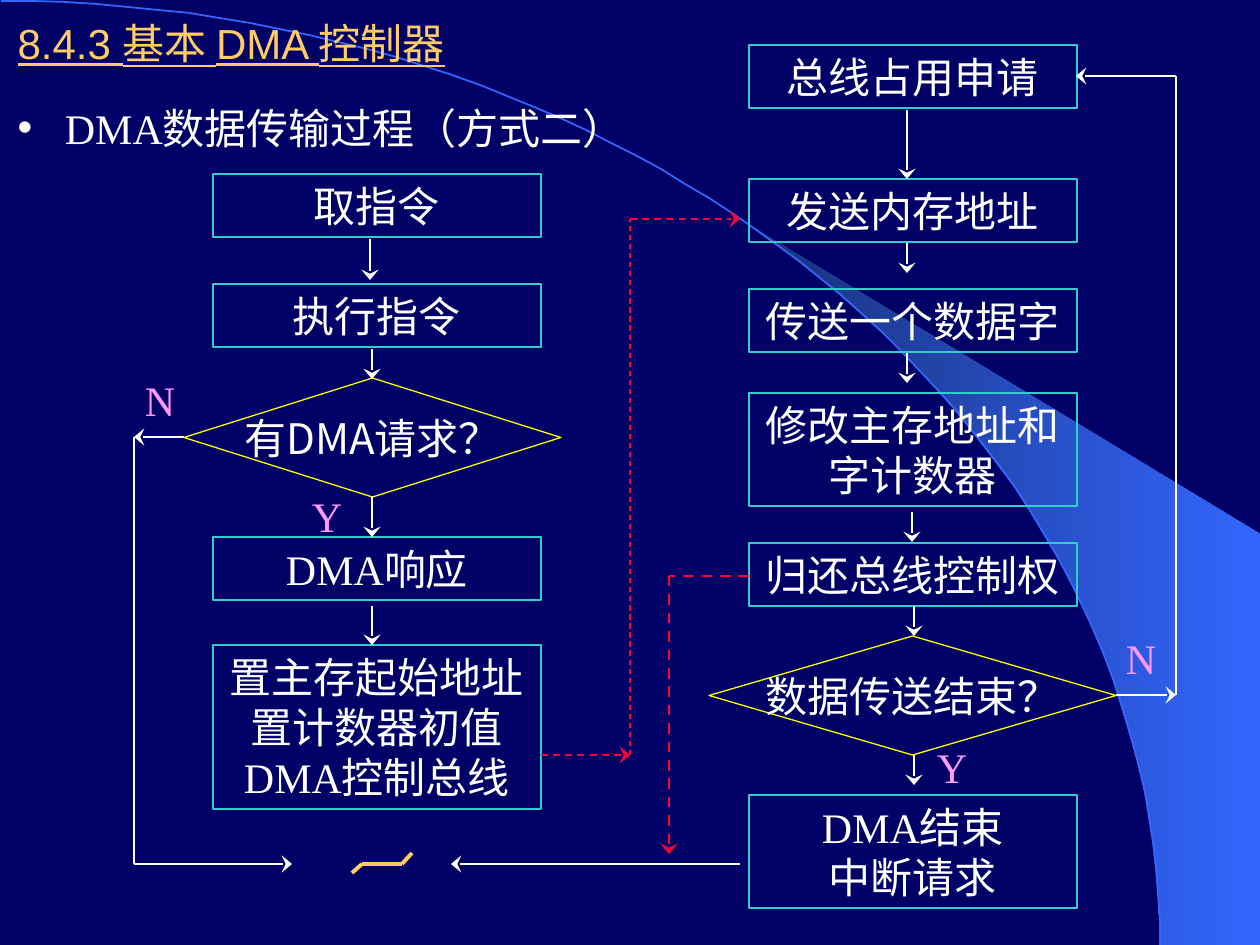
import pptx
import pptx.util
import pptx.oxml
import pptx.oxml.ns
import pptx.dml.color
import pptx.enum.dml
import pptx.enum.shapes
import pptx.enum.text

RGB = pptx.dml.color.RGBColor
SHAPE = pptx.enum.shapes.MSO_SHAPE
ALIGN = pptx.enum.text.PP_ALIGN
ANCHOR = pptx.enum.text.MSO_ANCHOR
FIT = pptx.enum.text.MSO_AUTO_SIZE
DASH = pptx.enum.dml.MSO_LINE.DASH
PX = 914400 / 126

NAVY = RGB(0x00, 0x00, 0x66)
DEEP = RGB(0x18, 0x2F, 0x76)
BLUE = RGB(0x33, 0x66, 0xFF)
GOLD = RGB(0xFF, 0xCC, 0x66)
WHITE = RGB(0xFF, 0xFF, 0xFF)
TEAL = RGB(0x33, 0xCC, 0xCC)
YELLOW = RGB(0xFF, 0xFF, 0x00)
PINK = RGB(0xFF, 0x99, 0xFF)
RED = RGB(0xFF, 0x00, 0x33)
SERIF, SANS, HAN = "Times New Roman", "Arial", "Noto Sans CJK SC"

# Content: flow chart columns as (left, [(top, height, lines)])
TITLE = "8.4.3 基本 DMA 控制器"
POINT = "DMA数据传输过程（方式二）"
COLUMNS = [
    (213, [(174, 63, ["取指令"]),
           (284, 63, ["执行指令"]),
           (537, 63, ["DMA响应"]),
           (645, 164, ["置主存起始地址", "置计数器初值", "DMA控制总线"])]),
    (749, [(45, 63, ["总线占用申请"]),
           (179, 63, ["发送内存地址"]),
           (289, 63, ["传送一个数据字"]),
           (393, 113, ["修改主存地址和字计数器"]),
           (543, 63, ["归还总线控制权"]),
           (795, 113, ["DMA结束", "中断请求"])]),
]
TESTS = [(184, 378, 377, 119, "有DMA请求？"),
         (709, 636, 407, 119, "数据传送结束？")]
LABELS = [(282, 484, "Y"), (115, 368, "N"), (907, 735, "Y"), (1096, 626, "N")]

# Steps downward: (x, top, bottom, line width)
STEPS = [(370, 239, 280, 1), (372, 349, 379, 1), (372, 496, 537, 1),
         (372, 606, 645, 1), (907, 110, 179, 1.5), (907, 243, 273, 1),
         (907, 353, 383, 1), (912, 512, 542, 1), (914, 606, 636, 1),
         (914, 755, 785, 1)]
# Routes: (points, colour, width, dashed, which legs end in an arrow)
ROUTES = [
    ([(184, 437), (134, 437), (134, 864), (292, 864)], WHITE, 1, False, (0, 2)),
    ([(740, 864), (451, 864)], WHITE, 1, False, (0,)),
    ([(1116, 695), (1176, 695), (1176, 76), (1076, 76)], WHITE, 1, False, (0, 2)),
    ([(541, 755), (630, 755), (630, 219), (740, 219)], RED, 1, True, (0, 2)),
    ([(749, 576), (669, 576), (669, 854)], RED, 1.5, True, (1,)),
    ([(352, 873), (362, 864), (402, 864), (412, 853)], GOLD, 2.25, False, ()),
]
BEAM = [(1160, 945), (1260, 945), (1260, 534), (743, 221), (788, 253),
        (824, 281), (864, 316), (905, 354), (961, 417), (1013, 485),
        (1051, 544), (1082, 605), (1109, 667), (1126, 722), (1140, 770),
        (1152, 828), (1158, 879)]
CURVE = [(1, 1), (641, 1), (1160, 425), (1160, 945)]


def emu(*vals):
    return [round(v * PX) for v in vals]


def add_xml(parent, tag, text="", **attrs):
    node = pptx.oxml.parse_xml(
        f"<a:{tag} {pptx.oxml.ns.nsdecls('a')}>{text}</a:{tag}>")
    for key, val in attrs.items():
        node.set(key, val)
    parent.append(node)


def write(shape, lines, color, name=SERIF, align=ALIGN.CENTER,
          anchor=ANCHOR.TOP, wrap=True, fit=FIT.NONE):
    frame = shape.text_frame
    frame.text = "\n".join(lines)
    frame.word_wrap = wrap
    frame.auto_size = fit
    frame.vertical_anchor = anchor
    for para in frame.paragraphs:
        para.alignment = align
        para.space_before = pptx.util.Pt(0)
        font = para.font
        font.size = pptx.util.Pt(24)
        font.name = name
        font.color.rgb = color
        add_xml(font._rPr, "ea", typeface=HAN)


def add_node(slide, kind, area, color):
    node = slide.shapes.add_shape(kind, *emu(*area))
    node.shadow.inherit = False
    node.fill.background()
    node.line.color.rgb = color
    node.line.width = pptx.util.Pt(0.75)
    return node


def add_line(slide, start, end, color, width, dashed=False, head=True):
    link = slide.shapes.add_connector(
        pptx.enum.shapes.MSO_CONNECTOR.STRAIGHT, *emu(*start, *end))
    link.line.color.rgb = color
    link.line.width = pptx.util.Pt(width)
    if dashed:
        link.line.dash_style = DASH
    if head:
        add_xml(link.line._get_or_add_ln(), "tailEnd",
                type="stealth", w="lg", len="med")
    add_xml(link._element.spPr, "effectLst")


def add_path(slide, points, close):
    pen = slide.shapes.build_freeform(*points[0], scale=PX)
    pen.add_line_segments(points[1:], close=close)
    path = pen.convert_to_shape()
    path.shadow.inherit = False
    return path


def bezier(ends, count=60):
    a, b, c, d = ends
    out = []
    for i in range(count + 1):
        t = i / count
        s = 1 - t
        out.append(tuple(s**3 * a[k] + 3 * s * s * t * b[k]
                         + 3 * s * t * t * c[k] + t**3 * d[k] for k in (0, 1)))
    return out


def add_back(slide):
    slide.background.fill.solid()
    slide.background.fill.fore_color.rgb = NAVY
    beam = add_path(slide, BEAM, True)
    beam.line.fill.background()
    beam.fill.gradient()
    beam.fill.gradient_angle = 0
    for stop, color, pos in zip(beam.fill.gradient_stops, (DEEP, BLUE), (0, 1)):
        stop.color.rgb = color
        stop.position = pos
    arc = add_path(slide, bezier(CURVE), False)
    arc.fill.background()
    arc.line.color.rgb = BLUE
    arc.line.width = pptx.util.Pt(1)
    # Behind the placeholders
    for place, shape in enumerate((beam, arc), 2):
        slide.shapes._spTree.insert(place, shape._element)


def add_heads(slide):
    title, body = slide.placeholders
    for shape, area in ((title, (5, 10, 1240, 66)), (body, (5, 96, 1245, 834))):
        shape.left, shape.top, shape.width, shape.height = emu(*area)
    write(title, [TITLE], GOLD, SANS, ALIGN.LEFT, ANCHOR.MIDDLE)
    title.text_frame.paragraphs[0].font.underline = True
    body.text_frame.text = POINT
    props = body.text_frame.paragraphs[0]._p.get_or_add_pPr()
    indent = emu(48)[0]
    props.set("marL", str(indent))
    props.set("indent", str(-indent))
    add_xml(props, "buClr", '<a:srgbClr val="99CCFF"/>')
    add_xml(props, "buSzPct", val="80000")
    add_xml(props, "buChar", char="✧")
    # Rewriting the run keeps the bullet settings of the paragraph
    write(body, [POINT], WHITE, align=ALIGN.LEFT)


def main():
    deck = pptx.Presentation()
    deck.slide_width, deck.slide_height = emu(1260, 945)
    slide = deck.slides.add_slide(deck.slide_layouts[1])
    add_back(slide)
    add_heads(slide)

    # Boxes, tests and labels
    for left, boxes in COLUMNS:
        for top, high, lines in boxes:
            box = add_node(slide, SHAPE.RECTANGLE, (left, top, 328, high), TEAL)
            write(box, lines, WHITE, fit=FIT.SHAPE_TO_FIT_TEXT)
    for *area, text in TESTS:
        test = add_node(slide, SHAPE.DIAMOND, area, YELLOW)
        write(test, [text], WHITE, HAN, anchor=ANCHOR.MIDDLE, wrap=False)
    for left, top, text in LABELS:
        label = slide.shapes.add_textbox(*emu(left, top, 90, 63))
        write(label, [text], PINK, fit=FIT.SHAPE_TO_FIT_TEXT)

    # Arrows
    for x, top, low, width in STEPS:
        add_line(slide, (x, top), (x, low), WHITE, width)
    for points, color, width, dashed, heads in ROUTES:
        for i, (start, end) in enumerate(zip(points, points[1:])):
            thin = width == 1 and i not in heads
            add_line(slide, start, end, color, 0.75 if thin else width,
                     dashed, i in heads)
    deck.save("out.pptx")


if __name__ == "__main__":
    main()
